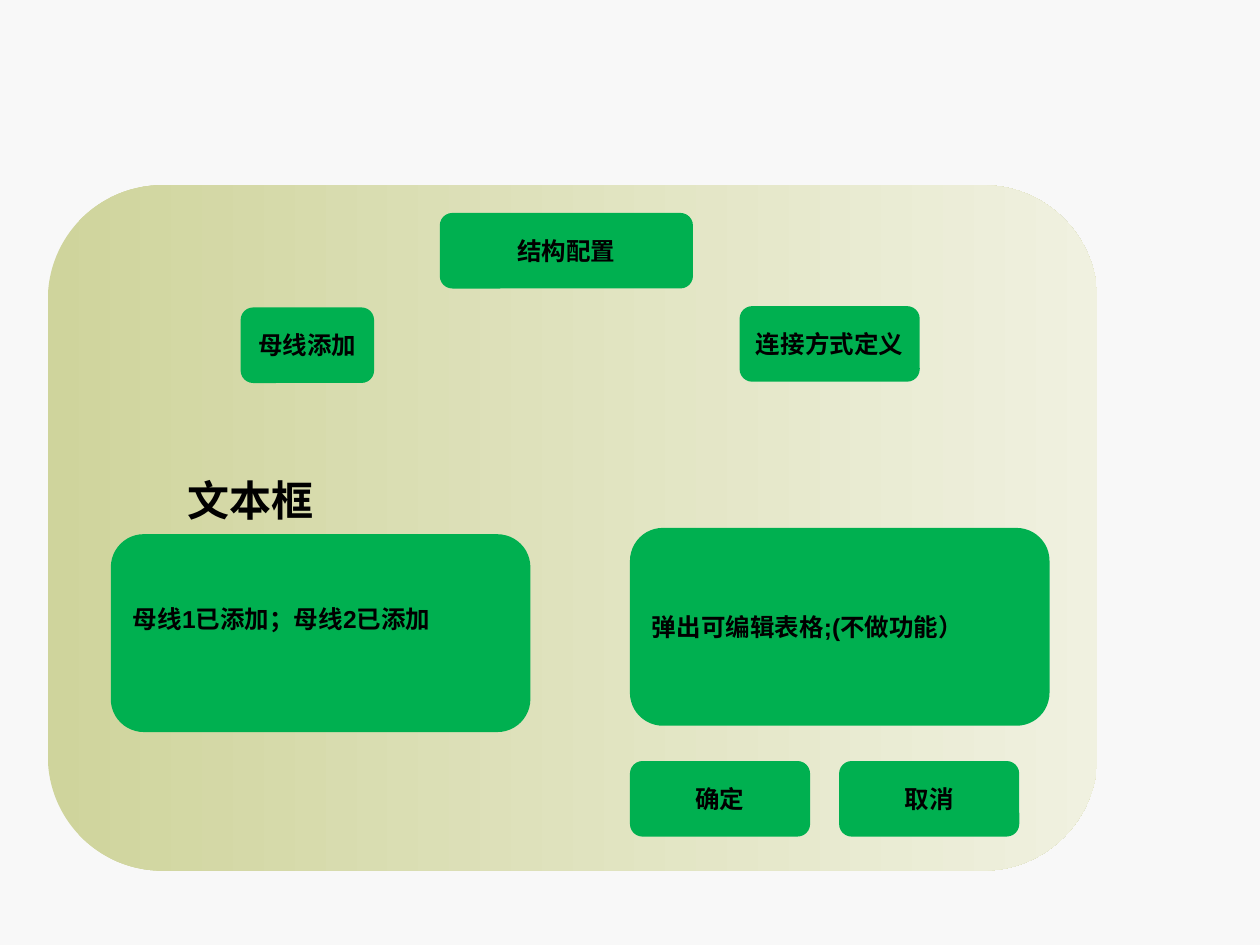
import pptx
import pptx.dml.color
import pptx.enum.shapes
import pptx.enum.text
import pptx.util
from pptx.util import Inches

COLORS = {
    "background": "F8F8F8",
    "panel_start": "CFD49C",
    "panel_end": "F0F1E0",
    "button": "00B050",
    "text": "000000",
}
ALIGN = pptx.enum.text.PP_ALIGN


def rgb(name):
    return pptx.dml.color.RGBColor.from_string(COLORS[name])


class DialogSlide:
    """Holds the text style and the slide being drawn."""

    font_name = "Arial"
    label_size = 14
    heading_size = 24

    def __init__(self, presentation):
        self.slide = presentation.slides.add_slide(presentation.slide_layouts[6])
        fill = self.slide.background.fill
        fill.solid()
        fill.fore_color.rgb = rgb("background")

    def set_text(self, text_frame, text, size, alignment):
        text_frame.text = text
        text_frame.word_wrap = True
        paragraph = text_frame.paragraphs[0]
        paragraph.alignment = alignment
        font = paragraph.runs[0].font
        font.name = self.font_name
        font.size = pptx.util.Pt(size)
        font.bold = True
        font.color.rgb = rgb("text")

    def rounded(self, left, top, width, height):
        shape = self.slide.shapes.add_shape(
            pptx.enum.shapes.MSO_SHAPE.ROUNDED_RECTANGLE,
            Inches(left), Inches(top), Inches(width), Inches(height))
        shape.shadow.inherit = False
        shape.line.fill.background()
        return shape

    def panel(self, left, top, width, height):
        fill = self.rounded(left, top, width, height).fill
        fill.gradient()
        fill.gradient_angle = 0
        for stop, position, color in zip(
                fill.gradient_stops, (0, 1), ("panel_start", "panel_end")):
            stop.position = position
            stop.color.rgb = rgb(color)

    def box(self, text, left, top, width, height, alignment):
        shape = self.rounded(left, top, width, height)
        shape.fill.solid()
        shape.fill.fore_color.rgb = rgb("button")
        text_frame = shape.text_frame
        text_frame.vertical_anchor = pptx.enum.text.MSO_ANCHOR.MIDDLE
        self.set_text(text_frame, text, self.label_size, alignment)
        return text_frame

    def button(self, text, left, top, width=1.43):
        text_frame = self.box(text, left, top, width, 0.6, ALIGN.CENTER)
        text_frame.margin_left = text_frame.margin_right = Inches(0.05)

    def message(self, text, left, top, bottom_margin=0.05):
        text_frame = self.box(text, left, top, 3.33, 1.57, ALIGN.JUSTIFY)
        text_frame.margin_bottom = Inches(bottom_margin)

    def heading(self, text, left, top, width, height):
        text_box = self.slide.shapes.add_textbox(
            Inches(left), Inches(top), Inches(width), Inches(height))
        self.set_text(text_box.text_frame, text, self.heading_size, ALIGN.LEFT)


def main():
    presentation = pptx.Presentation()
    presentation.slide_width = Inches(10)
    presentation.slide_height = Inches(7.5)
    dialog = DialogSlide(presentation)

    # Dialog panel
    dialog.panel(0.38, 1.47, 8.33, 5.44)

    # Left side: busbars and their status
    dialog.button("母线添加", 1.91, 2.44, 1.06)
    dialog.message("母线1已添加；母线2已添加", 0.88, 4.24, bottom_margin=0.28)
    dialog.heading("文本框", 1.39, 3.72, 2.1, 0.5)

    # Right side: connection definition
    dialog.button("连接方式定义", 5.87, 2.43)
    dialog.message("弹出可编辑表格;(不做功能）", 5, 4.19)

    # Confirm and cancel
    for text, left in (("确定", 5), ("取消", 6.66)):
        dialog.button(text, left, 6.04)

    # Dialog title
    dialog.button("结构配置", 3.49, 1.69, 2.01)

    presentation.save("out.pptx")


if __name__ == "__main__":
    main()
